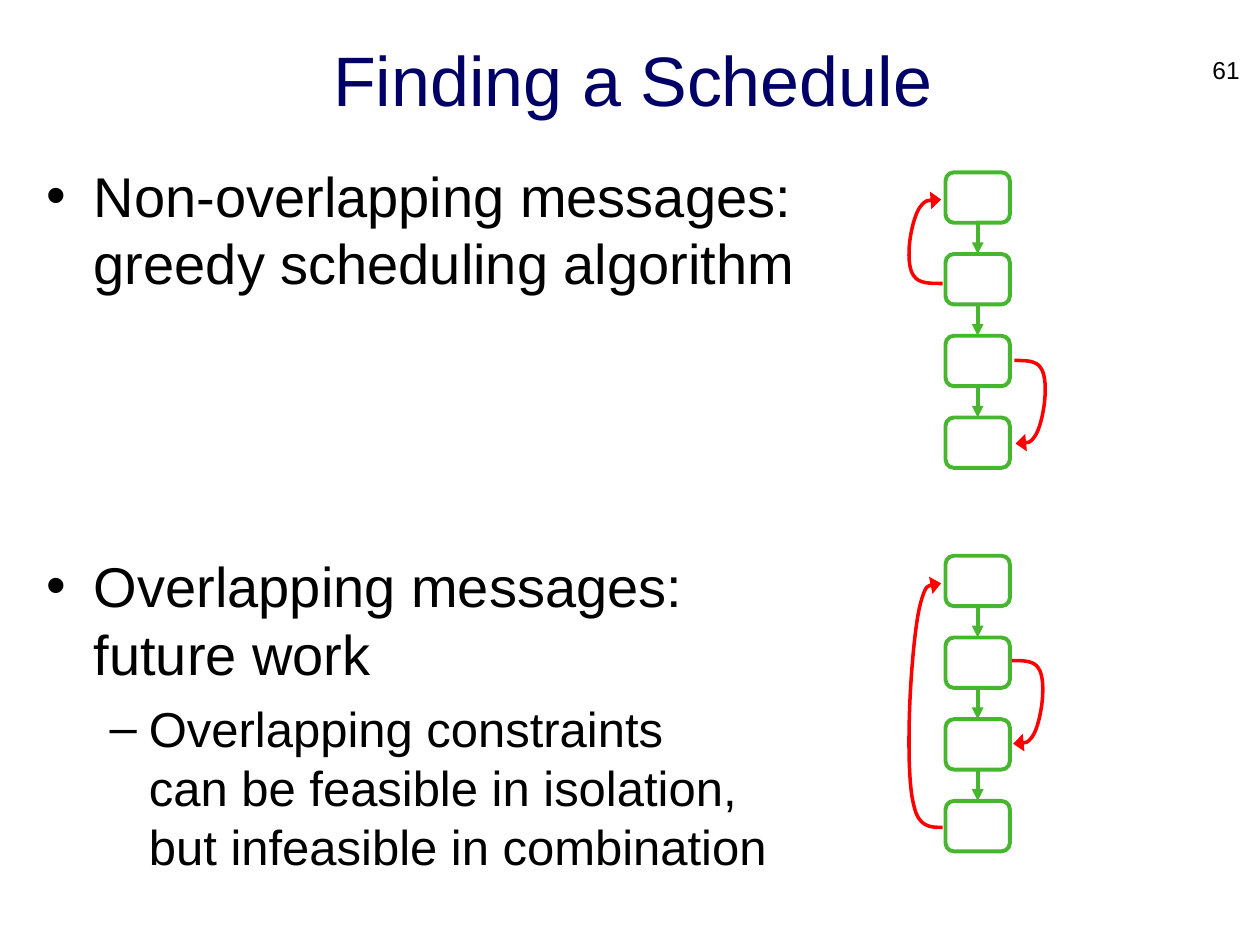
from lxml import etree
from pptx import Presentation
from pptx.dml.color import RGBColor
from pptx.enum import shapes, text
from pptx.oxml import ns
from pptx.util import Pt

NAVY = RGBColor(0x00, 0x00, 0x66)
BLACK = RGBColor(0x00, 0x00, 0x00)
GREEN = RGBColor(0x45, 0xB6, 0x2E)
RED = RGBColor(0xFF, 0x00, 0x00)

prs = Presentation()
prs.slide_width, prs.slide_height = Pt(720), Pt(540)
s = prs.slides.add_slide(prs.slide_layouts[6])


def add_text(p, content, size, color):
    for i, line in enumerate(content.split("\n")):
        if i:
            p.add_line_break()
        r = p.add_run()
        r.text = line
        r.font.name, r.font.size = "Arial", Pt(size)
        r.font.color.rgb = color


def style_line(sp, color, width, head=None):
    """Set colour and width, and end the line in a triangle of the given head width."""
    sp.line.color.rgb = color
    sp.line.width = Pt(width)
    if head:
        ln = sp.element.spPr.find(ns.qn("a:ln"))
        etree.SubElement(ln, ns.qn("a:tailEnd"), type="triangle", w=head)


# Title and slide number
for content, box, size, color, align, anchor in [
    ("Finding a Schedule", (21, 13, 681, 63.5), 40, NAVY,
     text.PP_ALIGN.CENTER, text.MSO_ANCHOR.MIDDLE),
    ("61", (681, 28, 34.5, 21.5), 14, BLACK,
     text.PP_ALIGN.RIGHT, text.MSO_ANCHOR.TOP),
]:
    tf = s.shapes.add_textbox(*map(Pt, box)).text_frame
    tf.word_wrap = True
    tf.vertical_anchor = anchor
    p = tf.paragraphs[0]
    p.alignment = align
    add_text(p, content, size, color)

# Bulleted body: text, bullet, level, size, space before, margin, hanging
tf = s.shapes.add_textbox(Pt(19.5), Pt(88.5), Pt(682), Pt(451)).text_frame
tf.word_wrap = True
for i, (content, bullet, level, size, before, margin, hanging) in enumerate([
    ("Non-overlapping messages:\ngreedy scheduling algorithm", "•", 0, 32, 0, 27, 27),
    ("Overlapping messages:\nfuture work", "•", 0, 32, 146.5, 27, 27),
    ("Overlapping constraints\ncan be feasible in isolation,\nbut infeasible in combination",
     "–", 1, 28, 7, 58.5, 22.5),
]):
    p = tf.add_paragraph() if i else tf.paragraphs[0]
    p.level = level
    p.space_before = Pt(before)
    pPr = p._p.get_or_add_pPr()
    pPr.set("marL", str(Pt(margin)))
    pPr.set("indent", str(-Pt(hanging)))
    etree.SubElement(pPr, ns.qn("a:buFont"), typeface="Arial")
    etree.SubElement(pPr, ns.qn("a:buChar"), char=bullet)
    add_text(p, content, size, BLACK)

# Two chains of four boxes joined by arrows
BOX_X, BOX_W, BOX_H, PITCH = 540.3, 36.8, 28.8, 46.7
for top in (98.5, 317.6):
    previous = None
    for i in range(4):
        box = s.shapes.add_shape(
            shapes.MSO_SHAPE.ROUNDED_RECTANGLE,
            Pt(BOX_X), Pt(top + i * PITCH), Pt(BOX_W), Pt(BOX_H))
        box.shadow.inherit = False
        box.fill.background()
        style_line(box, GREEN, 2.25)
        if previous is not None:
            arrow = s.shapes.add_connector(shapes.MSO_CONNECTOR.STRAIGHT, 0, 0, 0, 0)
            arrow.begin_connect(previous, 2)
            arrow.end_connect(box, 0)
            etree.SubElement(arrow.element.spPr, ns.qn("a:effectLst"))
            style_line(arrow, GREEN, 2.25, "med")
        previous = box

# Message arcs: one Bezier profile in unit coordinates, scaled by signed size
ARC = [(0, 0), (.36, 0), (.7, 0), (.84, .09), (1, .17), (1, .36), (.96, .5),
       (.92, .64), (.8, .84), (.64, .92), (.48, 1), (.24, 1), (.04, 1)]
for x, y, width, height in [
    (579.6, 206, 18, 47.5),
    (538.6, 162, -19.5, -48),
    (578.2, 377.5, 18, 47.5),
    (538.6, 472.8, -19.5, -139.5),
]:
    points = [(Pt(x + u * width), Pt(y + v * height)) for u, v in ARC]
    builder = s.shapes.build_freeform(*points[0])
    builder.add_line_segments(points[1:], close=False)
    arc = builder.convert_to_shape()
    # Merge each three line segments into one cubic curve
    outline = arc.element.spPr.find(".//" + ns.qn("a:path"))
    segments = outline.findall(ns.qn("a:lnTo"))
    for i in range(0, len(segments), 3):
        curve = etree.SubElement(outline, ns.qn("a:cubicBezTo"))
        for segment in segments[i:i + 3]:
            curve.append(segment[0])
            outline.remove(segment)
    arc.shadow.inherit = False
    arc.fill.background()
    style_line(arc, RED, 2, "lg")

prs.save("out.pptx")
